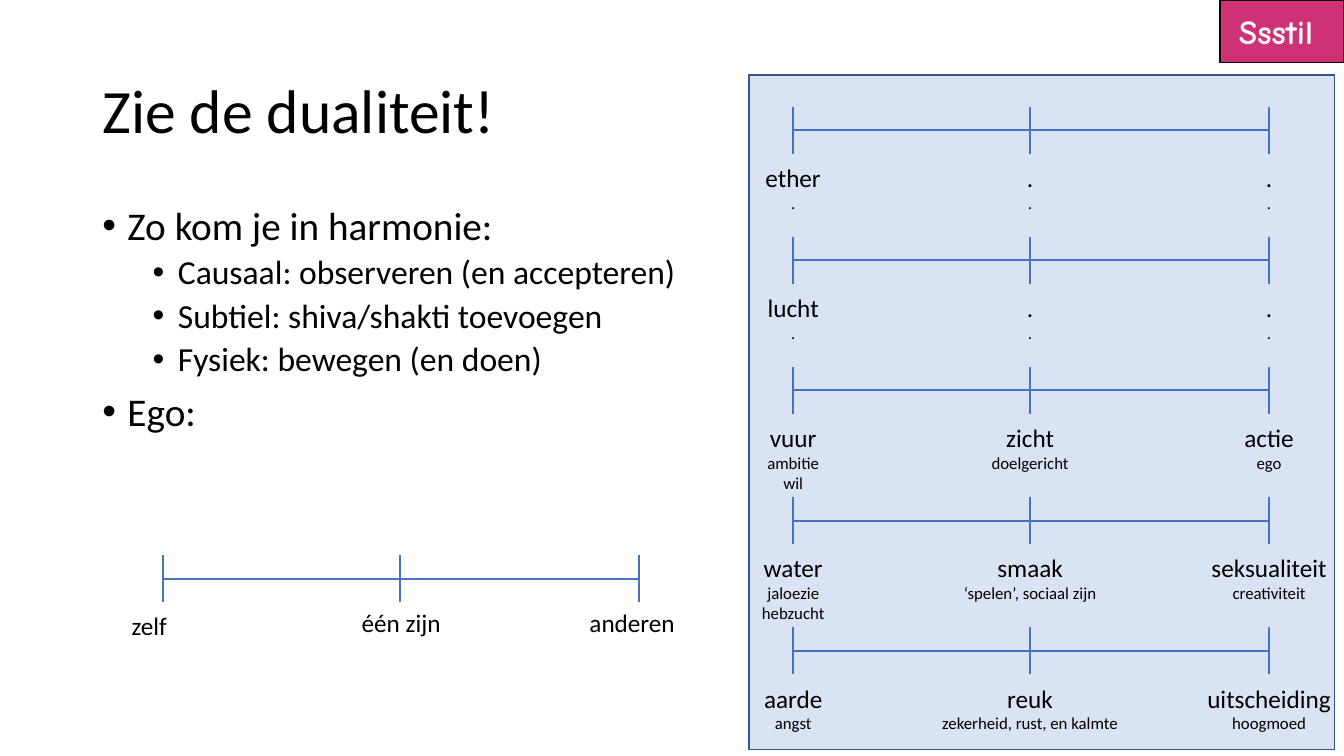
from dataclasses import dataclass

from lxml.etree import SubElement
from pptx import Presentation
from pptx.dml.color import RGBColor
from pptx.enum.shapes import MSO_CONNECTOR as Connector, MSO_SHAPE as Preset
from pptx.enum.text import MSO_ANCHOR as Anchor, MSO_AUTO_SIZE as AutoSize, PP_ALIGN as Align
from pptx.oxml.ns import qn
from pptx.util import Pt

COLORS = {
    "text": "000000",
    "axis": "4472C4",
    "panel": "DAE3F3",
    "panel_edge": "325491",
    "badge": "CE3175",
    "badge_text": "FFFFFF",
}
FONT = "Calibri"
TICK_HALF = 16.8


@dataclass
class Label:
    lines: tuple[str, ...]
    width: float
    shift_x: float = 0
    shift_y: float = 0


@dataclass
class Axis:
    y: float
    columns: tuple[float, ...]
    labels: tuple[Label, ...]
    label_gap: float = 19.3


@dataclass
class Bullet:
    text: str
    level: int = 0


def color(name: str) -> RGBColor:
    return RGBColor.from_string(COLORS[name])


def add_run(paragraph, text: str, size: float, ink: str = "text", font: str = FONT, bold: bool = False) -> None:
    run = paragraph.add_run()
    run.text = text
    run.font.size = Pt(size)
    run.font.name = font
    run.font.bold = bold
    run.font.color.rgb = color(ink)


def next_paragraph(frame, index: int):
    return frame.paragraphs[0] if index == 0 else frame.add_paragraph()


def add_box(slide, left: float, top: float, width: float, height: float, fill: str, edge: str):
    shape = slide.shapes.add_shape(Preset.RECTANGLE, Pt(left), Pt(top), Pt(width), Pt(height))
    shape.shadow.inherit = False
    shape.fill.solid()
    shape.fill.fore_color.rgb = color(fill)
    shape.line.color.rgb = color(edge)
    shape.line.width = Pt(1)
    return shape


def add_line(slide, x1: float, y1: float, x2: float, y2: float) -> None:
    line = slide.shapes.add_connector(Connector.STRAIGHT, Pt(x1), Pt(y1), Pt(x2), Pt(y2))
    line.line.color.rgb = color("axis")
    line.line.width = Pt(1.5)
    SubElement(line._element.spPr, qn("a:effectLst"))


def add_label(slide, label: Label, center: float, top: float) -> None:
    height = 29 + 14.6 * (len(label.lines) - 1)
    left = center + label.shift_x - label.width / 2
    box = slide.shapes.add_textbox(Pt(left), Pt(top + label.shift_y), Pt(label.width), Pt(height))
    frame = box.text_frame
    frame.word_wrap = False
    frame.auto_size = AutoSize.SHAPE_TO_FIT_TEXT
    for index, text in enumerate(label.lines):
        paragraph = next_paragraph(frame, index)
        paragraph.alignment = Align.CENTER
        add_run(paragraph, text, 18 if index == 0 else 12)


def add_axis(slide, axis: Axis) -> None:
    add_line(slide, axis.columns[0], axis.y, axis.columns[-1], axis.y)
    for x, label in zip(axis.columns, axis.labels):
        add_line(slide, x, axis.y - TICK_HALF, x, axis.y + TICK_HALF)
        add_label(slide, label, x, axis.y + axis.label_gap)


def add_bullet(paragraph, bullet: Bullet, first: bool) -> None:
    properties = paragraph._p.get_or_add_pPr()
    properties.set("marL", str(Pt(18 + 36 * bullet.level)))
    properties.set("indent", str(Pt(-18)))
    SubElement(properties, qn("a:buFont")).set("typeface", "Arial")
    SubElement(properties, qn("a:buChar")).set("char", "•")
    paragraph.level = bullet.level
    paragraph.line_spacing = 0.9
    if not first:
        paragraph.space_before = Pt(5 if bullet.level else 10)
    add_run(paragraph, bullet.text, 24 if bullet.level else 28)


BULLETS = (
    Bullet("Zo kom je in harmonie:"),
    Bullet("Causaal: observeren (en accepteren)", 1),
    Bullet("Subtiel: shiva/shakti toevoegen", 1),
    Bullet("Fysiek: bewegen (en doen)", 1),
    Bullet("Ego:"),
)

EGO_AXIS = Axis(
    413.3,
    (116.6, 285.8, 456.5),
    (
        Label(("zelf",), 40, shift_x=-10, shift_y=2),
        Label(("één zijn",), 72, shift_x=0.8),
        Label(("anderen",), 76, shift_x=-5),
    ),
    label_gap=16.8,
)

DOT = Label((".", "."), 19.4)
ELEMENT_COLUMNS = (566.6, 735.8, 906.5)
FIRST_ROW, ROW_STEP = 92.9, 93
ELEMENTS = (
    (Label(("ether", "."), 55), DOT, DOT),
    (Label(("lucht", "."), 52), DOT, DOT),
    (
        Label(("vuur", "ambitie", "wil"), 52),
        Label(("zicht", "doelgericht"), 70),
        Label(("actie", "ego"), 50),
    ),
    (
        Label(("water", "jaloezie", "hebzucht"), 60),
        Label(("smaak", "‘spelen’, sociaal zijn"), 110),
        Label(("seksualiteit", "creativiteit"), 98),
    ),
    (
        Label(("aarde", "angst"), 57),
        Label(("reuk", "zekerheid, rust, en kalmte"), 141),
        Label(("uitscheiding", "hoogmoed"), 104),
    ),
)


def main() -> None:
    presentation = Presentation()
    presentation.slide_width, presentation.slide_height = Pt(960), Pt(540)
    slide = presentation.slides.add_slide(presentation.slide_layouts[5])

    # Title
    title = slide.shapes.title
    title.left, title.top, title.width, title.height = Pt(66), Pt(28.8), Pt(828), Pt(104.4)
    title.text_frame.auto_size = AutoSize.NONE
    title.text_frame.vertical_anchor = Anchor.MIDDLE
    heading = title.text_frame.paragraphs[0]
    heading.alignment = Align.LEFT
    heading.line_spacing = 0.9
    add_run(heading, "Zie de dualiteit!", 44)

    # Bullet list
    body = slide.shapes.add_textbox(Pt(66), Pt(144), Pt(828), Pt(342.7)).text_frame
    body.word_wrap = True
    for index, bullet in enumerate(BULLETS):
        add_bullet(next_paragraph(body, index), bullet, index == 0)

    # Ego axis and the panel of elements
    add_axis(slide, EGO_AXIS)
    add_box(slide, 535, 53.5, 418.3, 481.7, "panel", "panel_edge")
    for row, labels in enumerate(ELEMENTS):
        add_axis(slide, Axis(FIRST_ROW + row * ROW_STEP, ELEMENT_COLUMNS, labels))

    # Corner badge
    badge = add_box(slide, 871.4, 0, 88.6, 44.6, "badge", "text")
    badge.text_frame.vertical_anchor = Anchor.MIDDLE
    caption = badge.text_frame.paragraphs[0]
    caption.alignment = Align.CENTER
    add_run(caption, "Ssstil ", 24, "badge_text", "Comic Neue", True)

    presentation.save("out.pptx")


if __name__ == "__main__":
    main()
